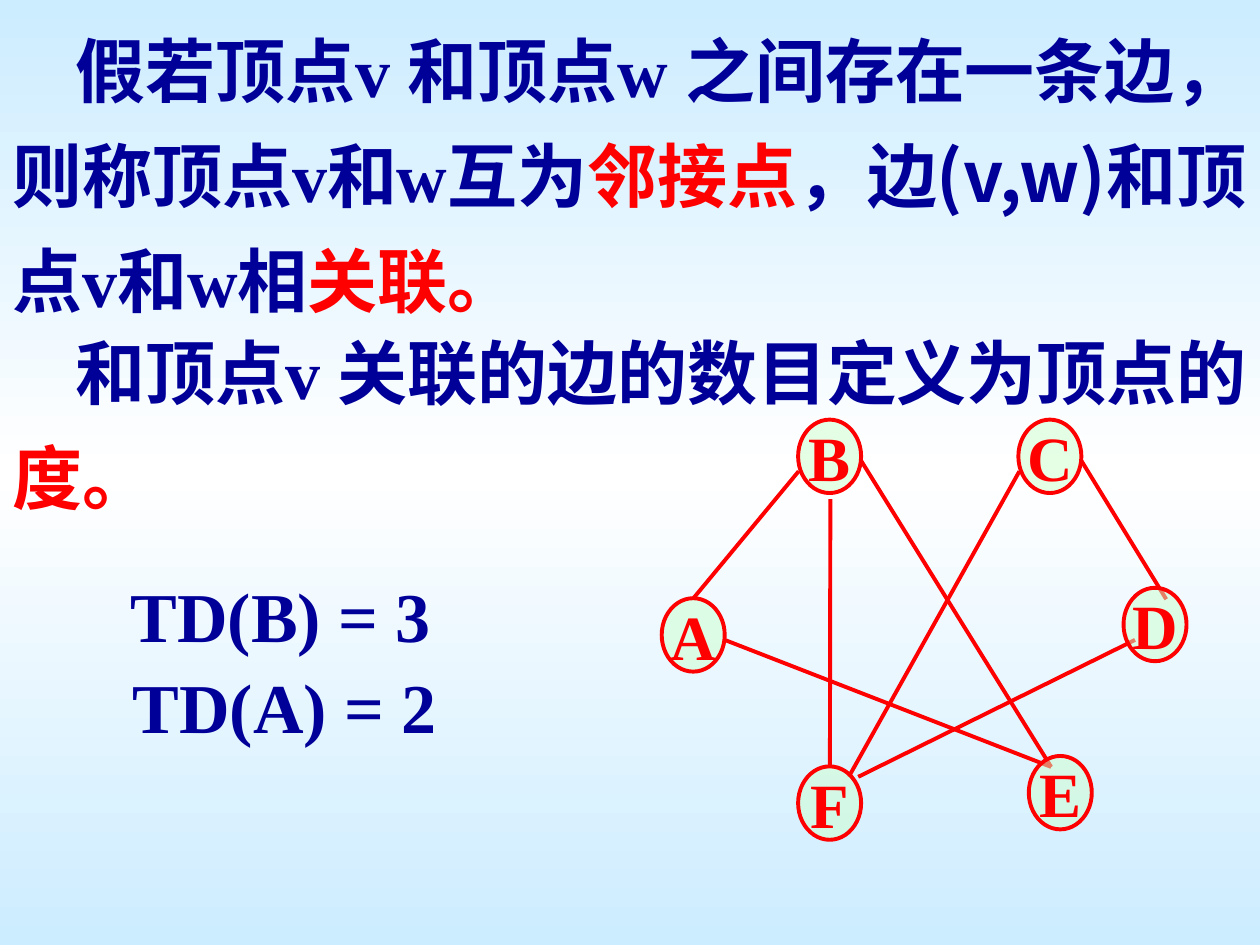
import pptx
import pptx.dml.color
import pptx.enum.shapes
import pptx.enum.text
import pptx.oxml
import pptx.oxml.ns
import pptx.util
import copy
from pptx.util import Cm

COLOURS = {"navy": "000099", "red": "FF0000", "mint": "CCFFCC",
           "sky": "CCECFF", "white": "FFFFFF"}
CHINESE = "Noto Sans CJK SC"
LATIN = "Times New Roman"


def colour(name):
    return pptx.dml.color.RGBColor.from_string(COLOURS[name])


def add_run(paragraph, text, font=CHINESE, size=40, color="navy"):
    run = paragraph.add_run()
    run.text = text
    run.font.size = pptx.util.Pt(size)
    run.font.bold = True
    run.font.color.rgb = colour(color)
    run.font.name = font
    east_asian = pptx.oxml.parse_xml(
        f'<a:ea {pptx.oxml.ns.nsdecls("a")} typeface="{font}"/>')
    run.font._element.find(pptx.oxml.ns.qn("a:latin")).addnext(east_asian)


class GraphSlide:
    line_width = pptx.util.Pt(2.25)
    vertex_width, vertex_height = 1.27, 1.48

    def __init__(self, presentation):
        self.slide = presentation.slides.add_slide(presentation.slide_layouts[6])

    def background(self, names):
        fill = self.slide.background.fill
        fill.gradient()
        fill.gradient_angle = 270
        stops = self.slide.element.find(".//" + pptx.oxml.ns.qn("a:gsLst"))
        while len(stops) < len(names):
            stops.append(copy.deepcopy(stops[0]))
        for index, name in enumerate(names):
            stop = fill.gradient_stops[index]
            stop.position = index / (len(names) - 1)
            stop.color.rgb = colour(name)

    def text(self, left, top, width, height, runs, indent=0, spacing=None):
        box = self.slide.shapes.add_textbox(Cm(left), Cm(top), Cm(width), Cm(height))
        frame = box.text_frame
        frame.word_wrap = True
        frame.auto_size = pptx.enum.text.MSO_AUTO_SIZE.SHAPE_TO_FIT_TEXT
        paragraph = frame.paragraphs[0]
        paragraph.line_spacing = spacing
        properties = paragraph._p.get_or_add_pPr()
        properties.set("indent", str(Cm(indent)))
        properties.set("hangingPunct", "0")
        for text, options in runs:
            add_run(paragraph, text, **options)

    def vertex(self, label, left, top):
        shape = self.slide.shapes.add_shape(
            pptx.enum.shapes.MSO_SHAPE.OVAL, Cm(left), Cm(top),
            Cm(self.vertex_width), Cm(self.vertex_height))
        shape.shadow.inherit = False
        shape.fill.solid()
        shape.fill.fore_color.rgb = colour("mint")
        fill_color = shape._element.spPr.find(
            pptx.oxml.ns.qn("a:solidFill") + "/" + pptx.oxml.ns.qn("a:srgbClr"))
        fill_color.append(pptx.oxml.parse_xml(
            f'<a:alpha {pptx.oxml.ns.nsdecls("a")} val="50000"/>'))
        shape.line.color.rgb = colour("red")
        shape.line.width = self.line_width
        frame = shape.text_frame
        frame.word_wrap = False
        frame.vertical_anchor = pptx.enum.text.MSO_ANCHOR.MIDDLE
        paragraph = frame.paragraphs[0]
        paragraph.alignment = pptx.enum.text.PP_ALIGN.CENTER
        add_run(paragraph, label, font=LATIN, size=36, color="red")

    def edge(self, start, end):
        connector = self.slide.shapes.add_connector(
            pptx.enum.shapes.MSO_CONNECTOR.STRAIGHT,
            Cm(start[0]), Cm(start[1]), Cm(end[0]), Cm(end[1]))
        connector.line.color.rgb = colour("red")
        connector.line.width = self.line_width
        connector._element.spPr.append(pptx.oxml.parse_xml(
            f'<a:effectLst {pptx.oxml.ns.nsdecls("a")}/>'))


def main():
    presentation = pptx.Presentation()
    presentation.slide_width = Cm(25.4)
    presentation.slide_height = Cm(19.05)
    page = GraphSlide(presentation)
    page.background(["sky", "white", "sky"])

    plain, variable, key = {}, {"font": LATIN}, {"color": "red"}
    adjacency = [
        ("假若顶点", plain), ("v ", variable), ("和顶点", plain), ("w ", variable),
        ("之间存在一条边，则称顶点", plain), ("v", variable), ("和", plain),
        ("w", variable), ("互为", plain), ("邻接点", key),
        ("，边(v,w)和顶点", plain), ("v", variable), ("和", plain),
        ("w", variable), ("相", plain), ("关联。", key)]
    degree = [("和顶点", plain), ("v ", variable),
              ("关联的边的数目定义为顶点的", plain), ("度。", key)]
    page.text(0, 0, 25.4, 6.6, adjacency, indent=1.27, spacing=1.25)
    page.text(2.39, 11.42, 7.65, 1.96, [("TD(B) = 3", variable)])
    page.text(2.43, 13.25, 7.45, 1.96, [("TD(A) = 2", variable)])
    page.text(0, 6.1, 25.4, 4.5, degree, indent=1.27, spacing=1.25)

    page.vertex("A", 13.34, 12.06)
    edges = [
        ((16.1, 9.5), (13.97, 12.07)),
        ((17.36, 9.29), (21.19, 15.46)),
        ((14.61, 12.9), (21.19, 15.46)),
        ((20.55, 9.5), (17.11, 15.66)),
        ((21.8, 9.29), (23.51, 12.08)),
        ((22.88, 12.9), (17.3, 15.66)),
        ((16.74, 10.06), (16.73, 15.44))]
    for start, end in edges:
        page.edge(start, end)
    vertices = [("C", 20.53, 8.46), ("D", 22.65, 11.85), ("F", 16.09, 15.45),
                ("E", 20.74, 15.24), ("B", 16.09, 8.46)]
    for label, left, top in vertices:
        page.vertex(label, left, top)

    presentation.save("out.pptx")


if __name__ == "__main__":
    main()
